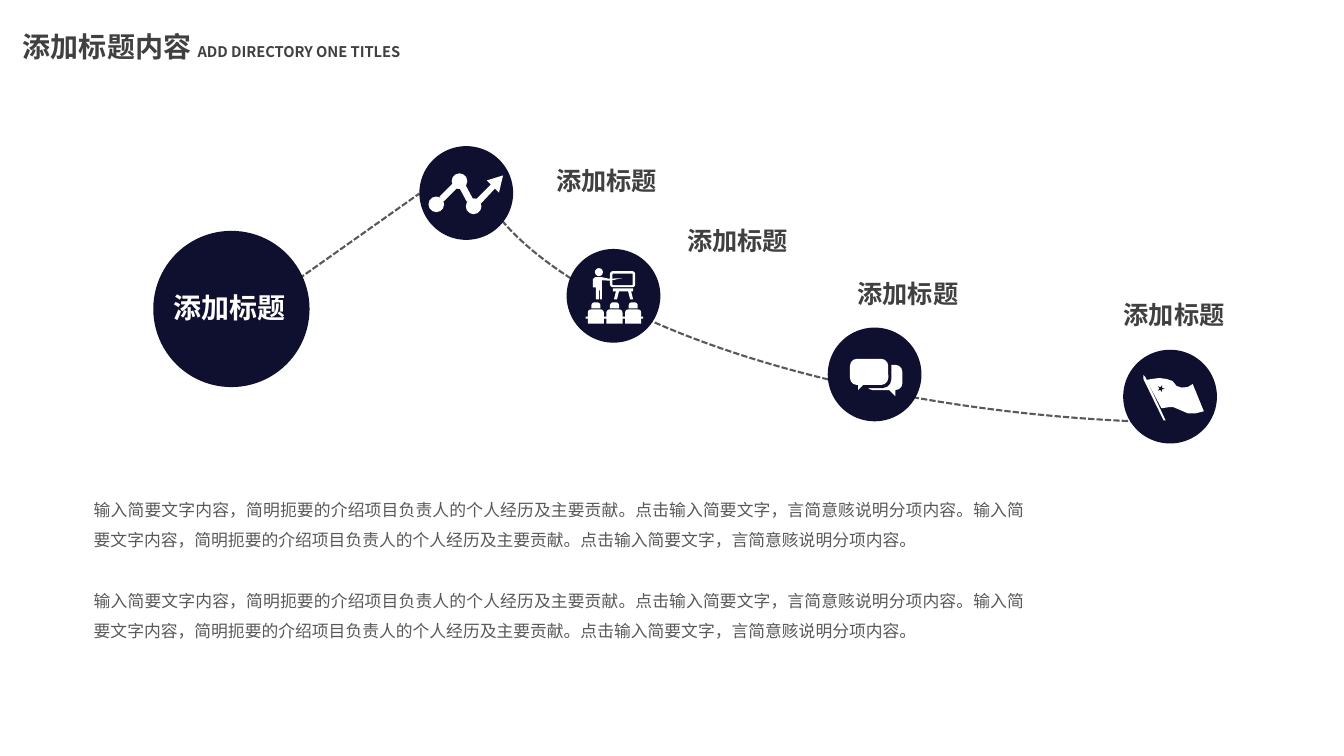
from lxml.etree import SubElement
from pptx import Presentation
from pptx.dml.color import RGBColor
from pptx.enum.dml import MSO_LINE
from pptx.enum.shapes import MSO_CONNECTOR, MSO_SHAPE as Shape
from pptx.enum.text import MSO_AUTO_SIZE, PP_ALIGN as Align
from pptx.oxml.ns import qn
from pptx.util import Inches, Pt

COLORS = {"navy": "0F0F2F", "white": "FFFFFF", "heading": "404040", "body": "595959"}
FONT = "Noto Sans CJK SC"
DISC = 0.93  # diameter of an icon disc, in inches
UNITS = 93  # icon grid columns and rows across a disc
CAPTION = "添加标题"
SUMMARY = ("输入简要文字内容，简明扼要的介绍项目负责人的个人经历及主要贡献。"
           "点击输入简要文字，言简意赅说明分项内容。") * 2


def color(name):
    return RGBColor.from_string(COLORS[name])


def paint(shape, fill):
    shape.shadow.inherit = False
    shape.fill.solid()
    shape.fill.fore_color.rgb = color(fill)
    shape.line.fill.background()
    return shape


def dash(line):
    line.color.rgb = color("body")
    line.width = Pt(1.5)
    line.dash_style = MSO_LINE.SQUARE_DOT


def add_text(page, box, paragraphs, ink, bold=True, align=Align.CENTER,
             insets=(0.08, 0.04), spacing=None, gap=0):
    """Each paragraph is a list of (text, size) spans."""
    frame = page.shapes.add_textbox(*map(Inches, box)).text_frame
    frame.word_wrap = True
    frame.auto_size = MSO_AUTO_SIZE.SHAPE_TO_FIT_TEXT
    frame.margin_left = frame.margin_right = Inches(insets[0])
    frame.margin_top = frame.margin_bottom = Inches(insets[1])
    for index, spans in enumerate(paragraphs):
        para = frame.add_paragraph() if index else frame.paragraphs[0]
        para.alignment = align
        para.line_spacing = spacing
        if index:
            para.space_before = Pt(gap)
        font = para.font
        font.name, font.bold = FONT, bold
        font.color.rgb = color(ink)
        defaults = para._p.pPr.find(qn("a:defRPr"))
        SubElement(defaults, qn("a:ea")).set("typeface", FONT)
        if len(spans) == 1:
            font.size = Pt(spans[0][1])
        for text, size in spans:
            span = para.add_run()
            span.text = text
            if len(spans) > 1:
                span.font.size = Pt(size)


# Icon parts, placed on the grid of a disc
def part(page, disc, preset, box, fill="white", adjust=None):
    unit = DISC / UNITS
    left, top, width, height = (value * unit for value in box)
    shape = page.shapes.add_shape(preset, Inches(disc[0] + left), Inches(disc[1] + top),
                                  Inches(width), Inches(height))
    if adjust is not None:
        shape.adjustments[0] = adjust
    return paint(shape, fill)


def outline(page, disc, points):
    unit = DISC / UNITS
    spots = [(Inches(disc[0] + x * unit), Inches(disc[1] + y * unit)) for x, y in points]
    builder = page.shapes.build_freeform(*spots[0], scale=1.0)
    builder.add_line_segments(spots[1:], close=True)
    paint(builder.convert_to_shape(), "white")


def trend_icon(page, disc):
    outline(page, disc, [(20, 50), (33, 37), (46, 39), (53, 52), (57, 52), (71, 38),
                         (67, 34), (83, 29), (79, 46), (75, 42), (61, 57), (47, 55),
                         (40, 42), (37, 42), (24, 55)])
    for left, top in [(9, 50), (32, 27), (46, 52)]:
        part(page, disc, Shape.OVAL, (left, top, 15.5, 15.5))


def lecture_icon(page, disc):
    # Board and stand
    part(page, disc, Shape.ROUNDED_RECTANGLE, (43, 22, 25, 16), adjust=0.18)
    part(page, disc, Shape.ROUNDED_RECTANGLE, (45.5, 24.5, 20, 11.5), "navy", 0.08)
    outline(page, disc, [(61, 42), (63, 50), (66, 50), (64, 42), (66, 42), (66, 39),
                         (46, 39), (46, 42), (49, 42), (47, 50), (50, 50), (52, 42)])
    # Speaker with pointer
    part(page, disc, Shape.OVAL, (28, 19, 8, 8))
    outline(page, disc, [(26, 30), (28, 28), (35, 28), (42, 29.5), (55, 29), (43, 31.5),
                         (35, 31), (35, 50), (33, 50), (33, 41), (32, 41), (32, 50),
                         (29, 50), (29, 38), (26, 38)])
    # Audience
    for seat in range(3):
        left = 21 + 18.5 * seat
        part(page, disc, Shape.ROUND_2_SAME_RECTANGLE, (left + 3.5, 53, 9, 6), adjust=0.5)
        part(page, disc, Shape.ROUND_2_SAME_RECTANGLE, (left, 60, 16, 14), adjust=0.22)
    part(page, disc, Shape.RECTANGLE, (19, 67, 57, 2))


def chat_icon(page, disc):
    part(page, disc, Shape.ROUNDED_RECTANGLE, (38, 37, 36, 25), adjust=0.27)
    outline(page, disc, [(61, 62), (67, 68), (67, 62)])
    part(page, disc, Shape.ROUNDED_RECTANGLE, (19, 28, 44, 32), "navy", 0.27)
    part(page, disc, Shape.ROUNDED_RECTANGLE, (22, 31, 38, 26), adjust=0.27)
    outline(page, disc, [(30, 56), (30, 62), (35, 57)])


def flag_icon(page, disc):
    outline(page, disc, [(20, 25), (22, 27), (42, 70), (40, 70), (21, 31), (20, 29)])
    outline(page, disc, [(23, 30), (28, 29), (36, 28), (43, 29), (49, 31), (53, 36),
                         (58, 37.5), (64, 37), (69, 34), (80, 61), (72, 63), (64, 63),
                         (57, 60), (50, 57), (45, 57), (38, 58)])
    star = part(page, disc, Shape.STAR_5_POINT, (34, 35, 7, 6.5), "navy")
    star.rotation = 20


# Disc corner, caption corner and icon of each stage
STAGES = [
    ((4.16, 1.45), (5.14, 1.6), trend_icon),
    ((5.62, 2.47), (6.44, 2.2), lecture_icon),
    ((8.21, 3.25), (8.13, 2.72), chat_icon),
    ((11.14, 3.47), (10.77, 2.93), flag_icon),
]


def add_header(page, box):
    add_text(page, box, [[("添加标题内容 ", 20), ("ADD DIRECTORY ONE TITLES", 10.5)]],
             "heading", insets=(0.1, 0.05))


def add_route(page):
    # Dashed curve behind the discs
    curve = page.shapes.add_shape(Shape.ARC, *map(Inches, (4.63, -0.6, 12.64, 4.76)))
    curve.shadow.inherit = False
    curve.fill.background()
    curve.adjustments[0], curve.adjustments[1] = 146.24, 213.31
    curve.rotation = 4
    frame = curve._element.spPr.find(qn("a:xfrm"))
    frame.set("flipH", "1")
    frame.set("flipV", "1")
    dash(curve.line)
    # Straight link from the start to the first stage
    link = page.shapes.add_connector(MSO_CONNECTOR.STRAIGHT,
                                     *map(Inches, (2.76, 2.91, 4.16, 1.92)))
    dash(link.line)
    SubElement(link._element.spPr, qn("a:effectLst"))


def add_start(page, left, top, size):
    paint(page.shapes.add_shape(Shape.OVAL, *map(Inches, (left, top, size, size))), "navy")
    add_text(page, (left - 0.38, top + 0.55, size + 0.72, 0.41), [[(CAPTION, 20)]], "white")


def add_stage(page, disc, caption, draw_icon):
    part(page, disc, Shape.OVAL, (0, 0, UNITS, UNITS), "navy")
    draw_icon(page, disc)
    add_text(page, (*caption, 1.75, 0.38), [[(CAPTION, 18)]], "heading")


def add_summary(page, box):
    add_text(page, box, [[(SUMMARY, 12)]] * 2, "body", bold=False, align=Align.JUSTIFY,
             insets=(0, 0), spacing=1.5, gap=21.6)


def main():
    deck = Presentation()
    deck.slide_width, deck.slide_height = Inches(13.33), Inches(7.5)
    page = deck.slides.add_slide(deck.slide_layouts[6])
    add_route(page)
    add_header(page, (0, 0.24, 4.2, 0.44))
    for stage in STAGES:
        add_stage(page, *stage)
    add_start(page, 1.52, 2.29, 1.55)
    add_summary(page, (0.93, 4.86, 9.24, 1.51))
    deck.save("out.pptx")


if __name__ == "__main__":
    main()
